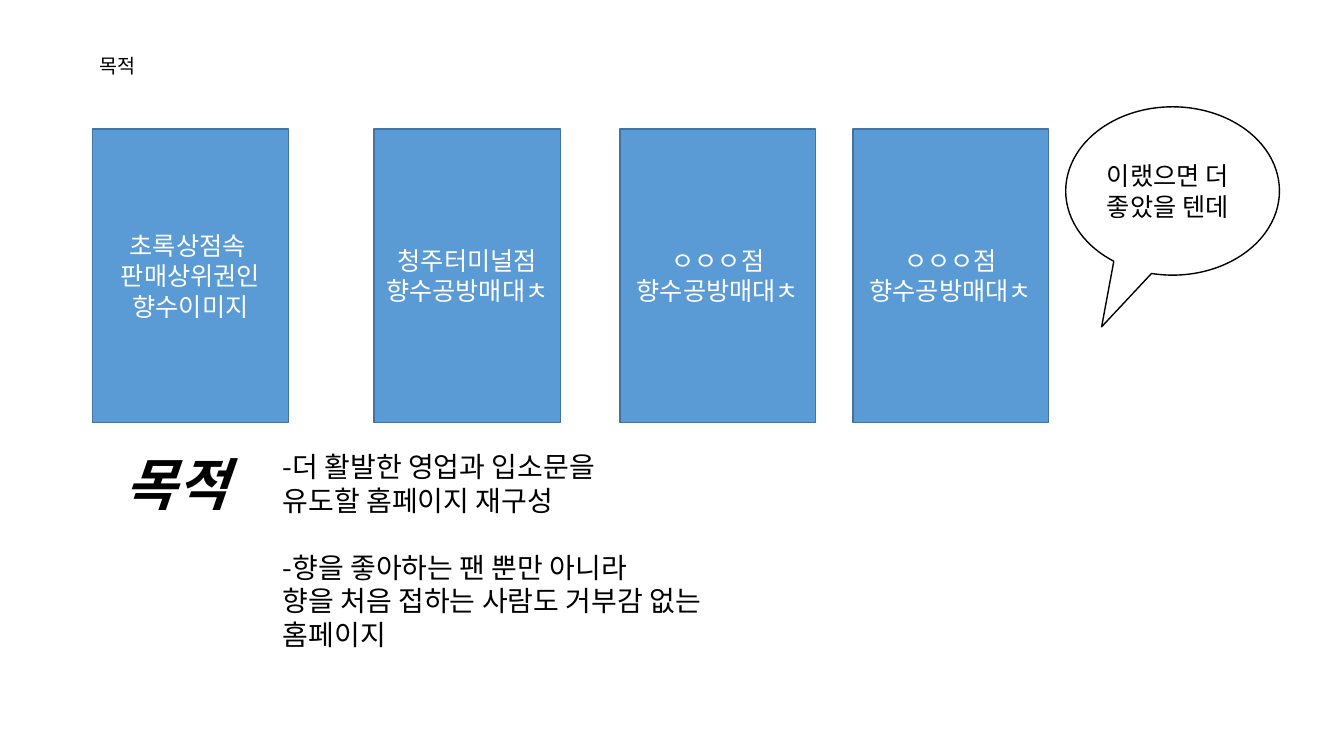
from dataclasses import dataclass

from lxml import etree
from pptx import Presentation, util as u
from pptx.dml.color import RGBColor
from pptx.enum import shapes, text
from pptx.oxml.ns import qn


@dataclass(frozen=True)
class Theme:
    font: str = "Noto Sans CJK KR"
    ink: str = "000000"
    paper: str = "FFFFFF"
    card: str = "5B9BD5"
    card_line: str = "43739E"
    label: int = 14
    normal: int = 18
    body: int = 20
    heading: int = 40


THEME = Theme()
WIDTH, HEIGHT = 13.33, 7.5
PURPOSE = "목적"
SHELF = "향수공방매대ㅊ"
# Left edge, width and lines of each card
CARDS = [
    (0.92, 1.94, ["초록상점속 ", "판매상위권인 향수이미지"]),
    (3.71, 1.85, ["청주터미널점", SHELF]),
    (6.15, 1.94, ["ㅇㅇㅇ점", SHELF]),
    (8.46, 1.94, ["ㅇㅇㅇ점", SHELF]),
]
GOALS = [
    ["-더 활발한 영업과 입소문을", "유도할 홈페이지 재구성"],
    ["-향을 좋아하는 팬 뿐만 아니라", "향을 처음 접하는 사람도 거부감 없는 홈페이지"],
]


def inches(box):
    return [u.Inches(length) for length in box]


def write(frame, lines, size, color, align=text.PP_ALIGN.LEFT, bold=False, italic=False):
    frame.word_wrap = True
    for index, line in enumerate(lines):
        paragraph = frame.paragraphs[0] if index == 0 else frame.add_paragraph()
        paragraph.text = line
        paragraph.alignment = align
        font = paragraph.font
        font.name, font.size = THEME.font, u.Pt(size)
        font.bold, font.italic = bold, italic
        font.color.rgb = RGBColor.from_string(color)
        east_asian = etree.Element(qn("a:ea"), typeface=THEME.font)
        font._element.find(qn("a:latin")).addnext(east_asian)


def add_text(slide, box, lines, size, **style):
    frame = slide.shapes.add_textbox(*inches(box)).text_frame
    write(frame, lines, size, THEME.ink, **style)
    return frame


def add_panel(slide, kind, box, fill, line):
    shape = slide.shapes.add_shape(kind, *inches(box))
    shape.shadow.inherit = False
    shape.fill.solid()
    shape.fill.fore_color.rgb = RGBColor.from_string(fill)
    shape.line.color.rgb = RGBColor.from_string(line)
    shape.line.width = u.Pt(1)
    shape.text_frame.vertical_anchor = text.MSO_ANCHOR.MIDDLE
    return shape


def add_cards(slide, top, height):
    for left, width, lines in CARDS:
        card = add_panel(slide, shapes.MSO_SHAPE.RECTANGLE, (left, top, width, height),
                         THEME.card, THEME.card_line)
        write(card.text_frame, lines, THEME.normal, THEME.paper, text.PP_ALIGN.CENTER)


def add_bubble(slide, box):
    bubble = add_panel(slide, shapes.MSO_SHAPE.OVAL_CALLOUT, box, THEME.paper, THEME.ink)
    bubble.adjustments[0], bubble.adjustments[1] = -0.332, 0.807
    write(bubble.text_frame, ["이랬으면 더 좋았을 텐데"], THEME.normal, THEME.ink)


def add_goals(slide, box):
    """Place the heading in the left quarter and the goals beside it."""
    left, top, width, height = box
    indent = width / 4
    add_text(slide, (left, top, 1.85, 0.77), [PURPOSE], THEME.heading, bold=True, italic=True)
    frame = add_text(slide, (left + indent, top, width - indent, height),
                     [line for goal in GOALS for line in goal], THEME.body)
    frame.paragraphs[len(GOALS[0])].space_before = u.Pt(24)


def build_purpose_slide(presentation):
    slide = presentation.slides.add_slide(presentation.slide_layouts[6])
    add_text(slide, (0.89, 0.49, 4.56, 0.34), [PURPOSE], THEME.label)
    add_cards(slide, top=1.28, height=2.91)
    add_bubble(slide, (10.57, 1.06, 2.12, 1.67))
    add_goals(slide, (1.14, 4.41, 6.26, 2.12))


def main():
    presentation = Presentation()
    presentation.slide_width, presentation.slide_height = inches((WIDTH, HEIGHT))
    build_purpose_slide(presentation)
    presentation.save("out.pptx")


if __name__ == "__main__":
    main()
